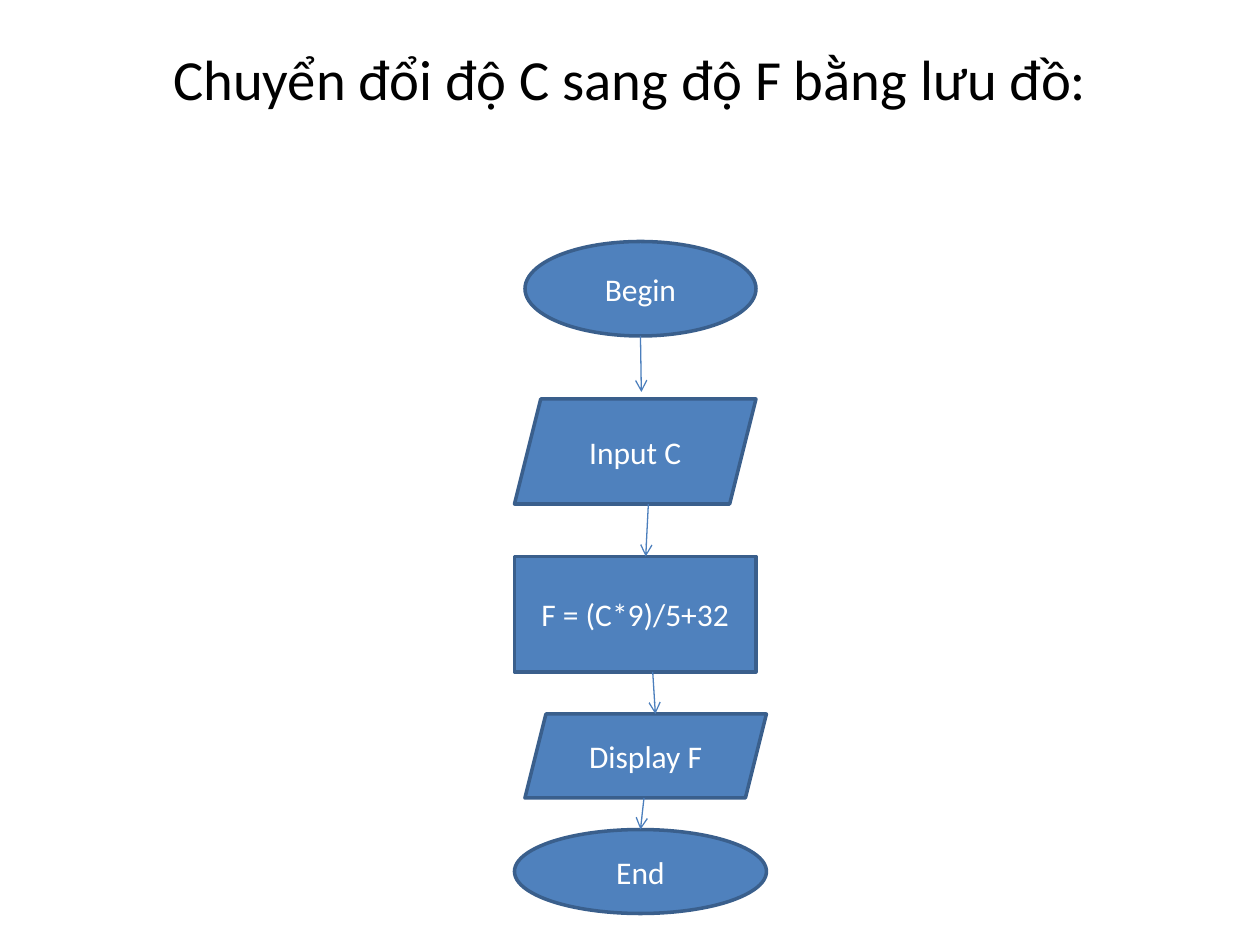
from lxml import etree
from pptx import Presentation
from pptx.dml.color import RGBColor
from pptx.enum.shapes import MSO_CONNECTOR, MSO_SHAPE
from pptx.enum.text import MSO_ANCHOR, PP_ALIGN
from pptx.oxml.ns import qn
from pptx.util import Pt

OVAL = MSO_SHAPE.OVAL
SLANTED = MSO_SHAPE.PARALLELOGRAM
BOX = MSO_SHAPE.RECTANGLE
STRAIGHT = MSO_CONNECTOR.STRAIGHT
TOP, MIDDLE = MSO_ANCHOR.TOP, MSO_ANCHOR.MIDDLE
CENTER = PP_ALIGN.CENTER

COLORS = {
    "title": "000000",
    "label": "FFFFFF",
    "fill": "4F81BD",
    "outline": "3A5F8C",
    "arrow": "4B7EBC",
}

# preset, label, left, top, width, height
STEPS = [
    (OVAL, "Begin", 300, 138, 132, 54),
    (SLANTED, "Input C", 294, 228, 138, 60),
    (BOX, "F = (C*9)/5+32", 294, 318, 138, 66),
    (SLANTED, "Display F", 300, 408, 138, 48),
    (OVAL, "End", 294, 474, 144, 48),
]
# start x, end x, gap left above the next step
ARROWS = [(366, 366.5, 4), (370.5, 369, 0), (373, 374.5, 0), (368, 366, 0)]


def color(name):
    return RGBColor.from_string(COLORS[name])


def write(shape, text, size, color_name, anchor):
    frame = shape.text_frame
    frame.text = text
    frame.word_wrap = True
    frame.vertical_anchor = anchor
    paragraph = frame.paragraphs[0]
    paragraph.alignment = CENTER
    font = paragraph.runs[0].font
    for name, value in {"name": "Calibri", "size": Pt(size)}.items():
        setattr(font, name, value)
    font.color.rgb = color(color_name)


prs = Presentation()
prs.slide_width, prs.slide_height = Pt(720), Pt(540)
slide = prs.slides.add_slide(prs.slide_layouts[5])

title = slide.shapes.title
title_place = {"left": 36, "top": 21.6, "width": 648, "height": 90}
for side, length in title_place.items():
    setattr(title, side, Pt(length))
write(title, "Chuyển đổi độ C sang độ F bằng lưu đồ:", 32.4, "title", TOP)

for preset, label, *place in STEPS:
    step = slide.shapes.add_shape(preset, *map(Pt, place))
    step.shadow.inherit = False
    step.fill.solid()
    step.fill.fore_color.rgb = color("fill")
    step.line.color.rgb = color("outline")
    step.line.width = Pt(2)
    write(step, label, 18, "label", MIDDLE)

for (start_x, end_x, gap), upper, lower in zip(ARROWS, STEPS, STEPS[1:]):
    start_y = upper[3] + upper[5]
    end_y = lower[3] - gap
    arrow = slide.shapes.add_connector(
        STRAIGHT, Pt(start_x), Pt(start_y), Pt(end_x), Pt(end_y))
    arrow.line.color.rgb = color("arrow")
    arrow.line.width = Pt(0.75)
    etree.SubElement(arrow.line._get_or_add_ln(), qn("a:tailEnd"), type="arrow")
    etree.SubElement(arrow._element.spPr, qn("a:effectLst"))

prs.save("out.pptx")
